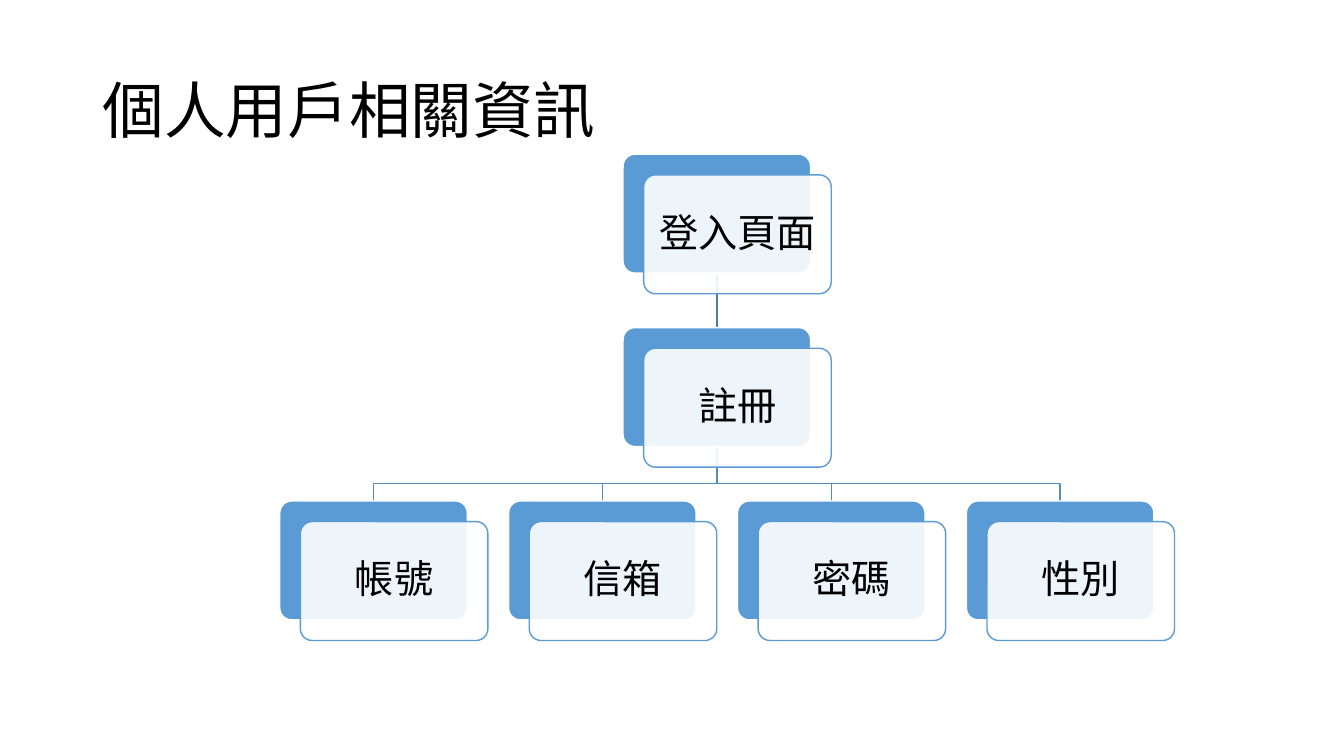
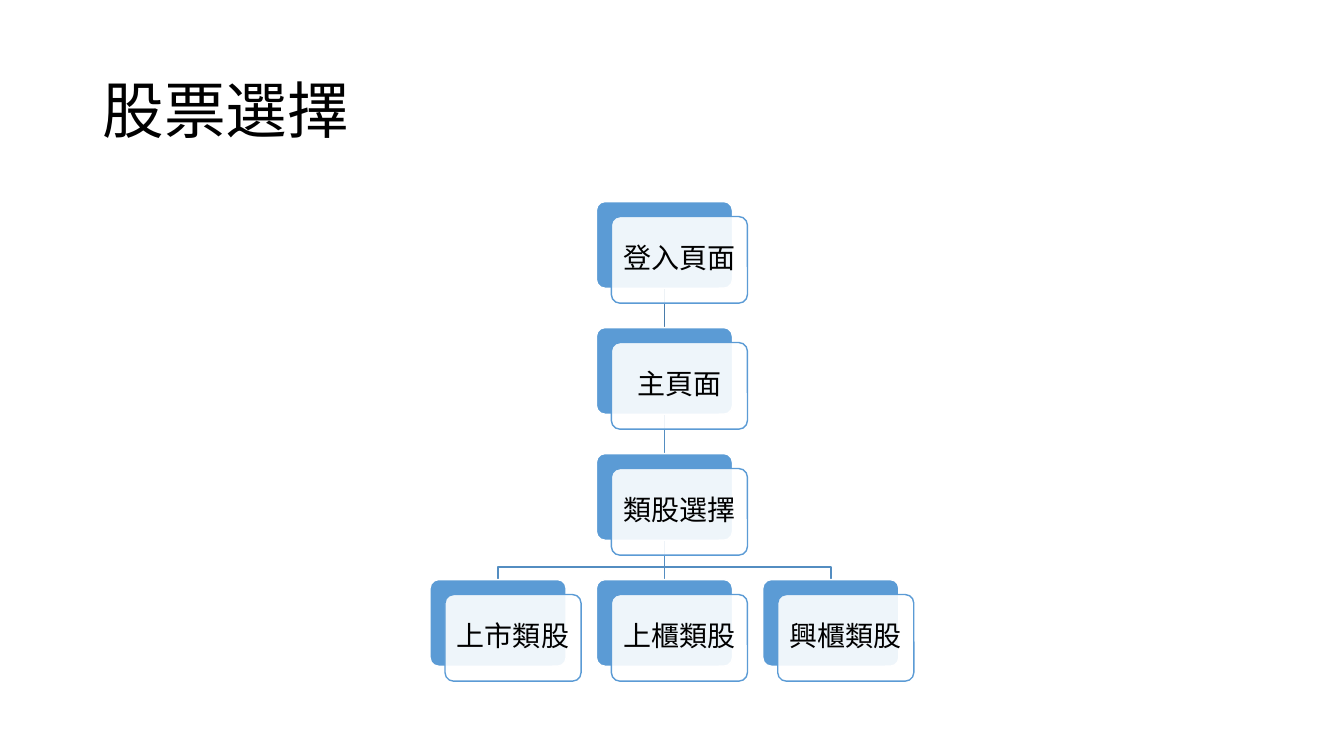
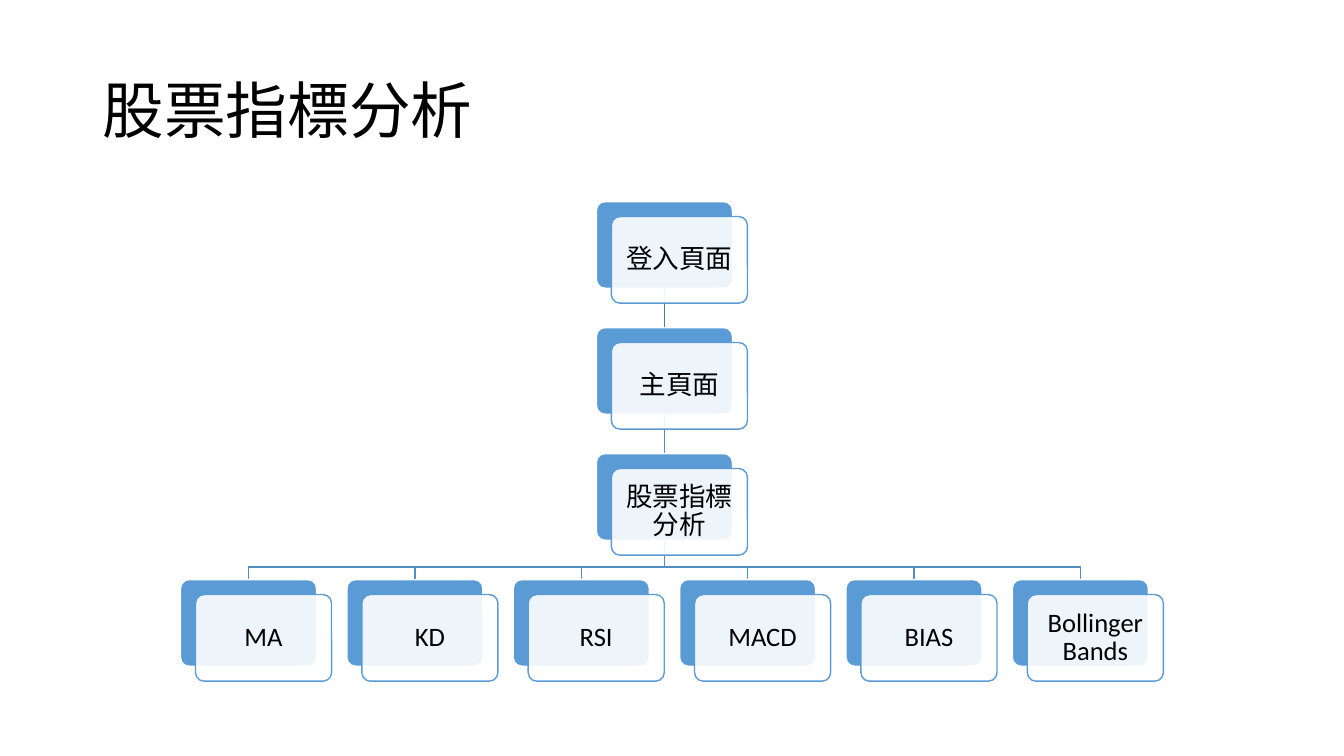
from lxml.etree import SubElement
from pptx import Presentation
from pptx.dml.color import RGBColor
from pptx.enum.shapes import MSO_CONNECTOR, MSO_SHAPE
from pptx.enum.text import MSO_ANCHOR, PP_ALIGN
from pptx.oxml.ns import qn
from pptx.util import Inches, Pt

COLORS = {
    "card": "5B9BD5",
    "paper": "FFFFFF",
    "text": "000000",
    "root_line": "497CAB",
    "branch_line": "538DC1",
}
FONT = "Calibri"
CARD_OFFSET = 0.11
BEND = 0.68

LARGE = {"center": 7.11, "top": 1.53, "width": 1.86, "height": 1.18,
         "column": 2.27, "row": 1.72, "inset": 0.11}
SMALL = {"center": 6.59, "top": 2, "width": 1.35, "height": 0.86,
         "column": 1.65, "row": 1.25, "inset": 0.08}

CHARTS = [
    ("個人用戶相關資訊", LARGE, 28,
     [["登入頁面"], ["註冊"], ["帳號", "信箱", "密碼", "性別"]]),
    ("股票選擇", SMALL, 20,
     [["登入頁面"], ["主頁面"], ["類股選擇"],
      ["上市類股", "上櫃類股", "興櫃類股"]]),
    ("股票指標分析", SMALL, 19,
     [["登入頁面"], ["主頁面"], ["股票指標分析"],
      ["MA", "KD", "RSI", "MACD", "BIAS", "Bollinger Bands"]]),
]


def write(shape, text, size, align):
    frame = shape.text_frame
    frame.text = text
    frame.word_wrap = True
    frame.vertical_anchor = MSO_ANCHOR.MIDDLE
    para = frame.paragraphs[0]
    para.alignment = align
    para.line_spacing = 0.9
    font = para.runs[0].font
    font.name = FONT
    font.size = Pt(size)
    font.color.rgb = RGBColor.from_string(COLORS["text"])


def add_card(page, left, top, size, fill, line):
    card = page.shapes.add_shape(
        MSO_SHAPE.ROUNDED_RECTANGLE, Inches(left), Inches(top),
        Inches(size["width"]), Inches(size["height"]))
    card.adjustments[0] = 0.1
    card.shadow.inherit = False
    card.fill.solid()
    card.fill.fore_color.rgb = RGBColor.from_string(COLORS[fill])
    card.line.color.rgb = RGBColor.from_string(COLORS[line])
    card.line.width = Pt(1)
    return card


deck = Presentation()
deck.slide_width = Inches(13.33)
deck.slide_height = Inches(7.5)

for title, size, text_size, levels in CHARTS:
    page = deck.slides.add_slide(deck.slide_layouts[6])
    title_box = page.shapes.add_textbox(
        Inches(0.92), Inches(0.4), Inches(11.5), Inches(1.45))
    write(title_box, title, 44, PP_ALIGN.LEFT)

    nodes = []
    for level, labels in enumerate(levels):
        for column, label in enumerate(labels):
            shift = column - (len(labels) - 1) / 2
            nodes.append((level, label,
                          size["center"] + shift * size["column"],
                          size["top"] + level * size["row"]))

    for level, label, middle, top in nodes[1:]:
        gap = size["row"] - size["height"]
        parent_x, parent_bottom = Inches(size["center"]), Inches(top - gap)
        child_x, child_top = Inches(middle), Inches(top)
        if child_x == parent_x:
            link = page.shapes.add_connector(
                MSO_CONNECTOR.STRAIGHT, parent_x, parent_bottom, child_x, child_top)
            SubElement(link.element.spPr, qn("a:effectLst"))
        else:
            bend_y = Inches(top - gap * (1 - BEND))
            builder = page.shapes.build_freeform(parent_x, parent_bottom)
            builder.add_line_segments(
                [(parent_x, bend_y), (child_x, bend_y), (child_x, child_top)],
                close=False)
            link = builder.convert_to_shape()
            link.shadow.inherit = False
            link.fill.background()
        line_color = COLORS["root_line" if level == 1 else "branch_line"]
        link.line.color.rgb = RGBColor.from_string(line_color)
        link.line.width = Pt(1)

    for level, label, middle, top in nodes:
        left = middle - size["width"] / 2
        offset = CARD_OFFSET * size["width"]
        add_card(page, left, top, size, "card", "paper")
        front = add_card(page, left + offset, top + offset, size, "paper", "card")
        fill_color = front.element.spPr.find(qn("a:solidFill"))[0]
        SubElement(fill_color, qn("a:alpha"), val="90000")
        frame = front.text_frame
        frame.margin_left = frame.margin_right = Inches(size["inset"])
        frame.margin_top = frame.margin_bottom = Inches(size["inset"])
        write(front, label, text_size, PP_ALIGN.CENTER)

deck.save("out.pptx")
